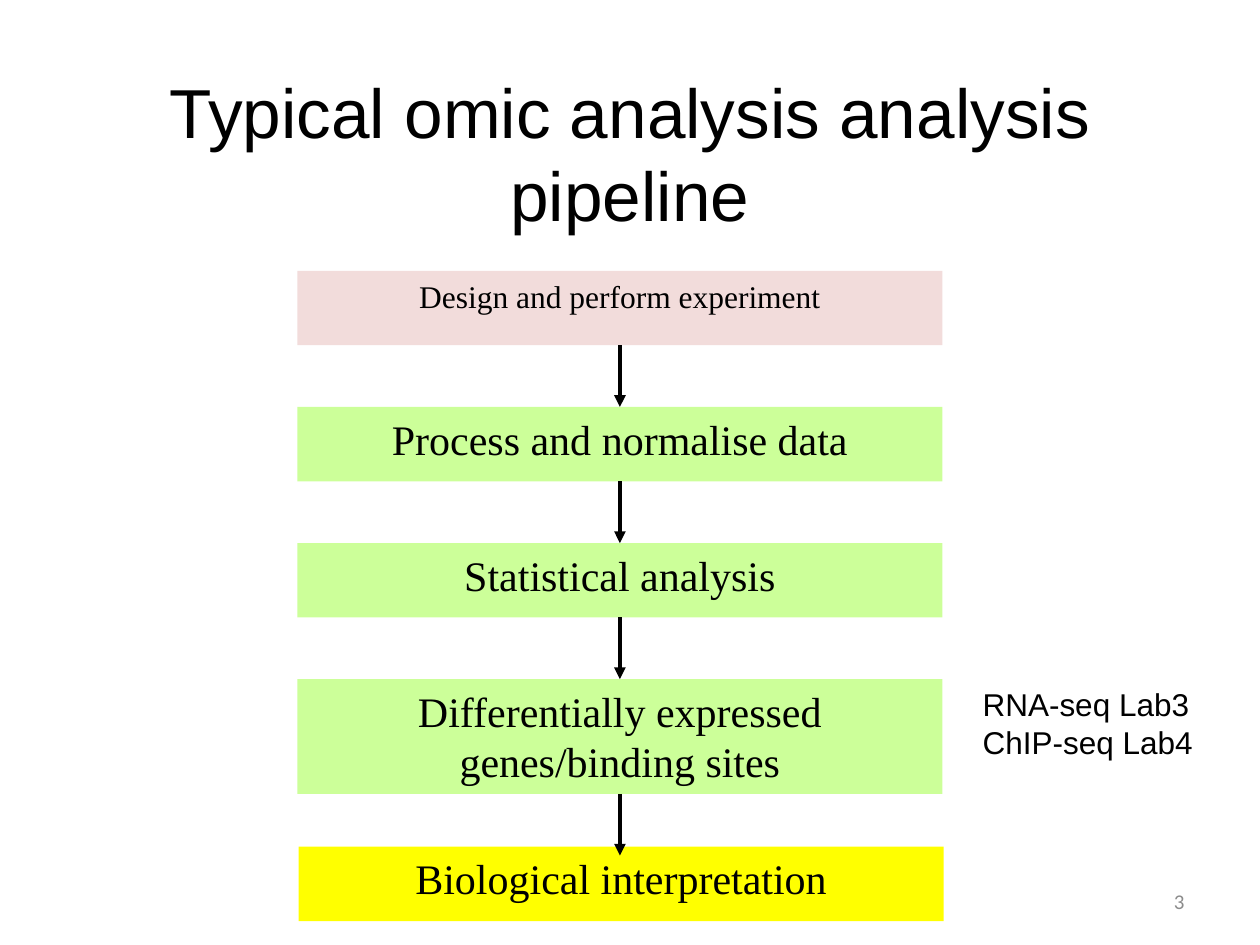
from lxml import etree
from pptx import Presentation
from pptx.dml.color import RGBColor
from pptx.enum.shapes import MSO_CONNECTOR, MSO_SHAPE
from pptx.enum.text import MSO_ANCHOR, PP_ALIGN
from pptx.oxml.ns import qn
from pptx.util import Inches, Pt

STRAIGHT = MSO_CONNECTOR.STRAIGHT
RECTANGLE = MSO_SHAPE.RECTANGLE
TOP, MIDDLE = MSO_ANCHOR.TOP, MSO_ANCHOR.MIDDLE
LEFT, CENTER, RIGHT = PP_ALIGN.LEFT, PP_ALIGN.CENTER, PP_ALIGN.RIGHT
BOTTOM_SITE, TOP_SITE = 2, 0
STEP_WIDTH = 5.12
LAST_OVERLAP = 0.07

STEPS = [
    ("Design and perform experiment", (2.36, 2.15, STEP_WIDTH, 0.59), "F2DCDB", 18),
    ("Process and normalise data", (2.36, 3.23, STEP_WIDTH, 0.59), "CCFF99", 24),
    ("Statistical analysis", (2.36, 4.31, STEP_WIDTH, 0.59), "CCFF99", 24),
    ("Differentially expressed genes/binding sites", (2.36, 5.39, STEP_WIDTH, 0.91), "CCFF99", 24),
    ("Biological interpretation", (2.37, 6.72, STEP_WIDTH, 0.59), "FFFF00", 24),
]


def color(value):
    """Return the colour for a hex string."""
    return RGBColor.from_string(value)


def write_text(shape, lines, size, font, ink="000000", align=LEFT, anchor=TOP, wrap=True):
    """Write one paragraph per line in a shape."""
    frame = shape.text_frame
    frame.word_wrap = wrap
    frame.vertical_anchor = anchor
    for index, line in enumerate(lines):
        para = frame.paragraphs[0] if index == 0 else frame.add_paragraph()
        para.alignment = align
        span = para.add_run()
        span.text = line
        for name, value in {"size": Pt(size), "name": font}.items():
            setattr(span.font, name, value)
        span.font.color.rgb = color(ink)


def add_label(page, box, lines, size, font, **format_values):
    """Add a text box at the given place."""
    label = page.shapes.add_textbox(*map(Inches, box))
    write_text(label, lines, size, font, **format_values)


def add_step(page, box, text, fill, size):
    """Add one filled step of the pipeline."""
    step = page.shapes.add_shape(RECTANGLE, *map(Inches, box))
    step.shadow.inherit = False
    step.fill.solid()
    step.fill.fore_color.rgb = color(fill)
    step.line.fill.background()
    write_text(step, [text], size, "Times New Roman", align=CENTER)
    return step


def add_arrow(page, upper, lower, overlap=0):
    """Add an arrow down from one step to the next, optionally reaching into it."""
    center = upper.left + upper.width // 2
    arrow = page.shapes.add_connector(
        STRAIGHT, center, upper.top + upper.height, center, lower.top + Inches(overlap))
    arrow.begin_connect(upper, BOTTOM_SITE)
    if not overlap:
        arrow.end_connect(lower, TOP_SITE)
    arrow.line.color.rgb = color("000000")
    arrow.line.width = Pt(2.25)
    etree.SubElement(arrow.line._get_or_add_ln(), qn("a:tailEnd"), type="triangle")
    etree.SubElement(arrow._element.spPr, qn("a:effectLst"))


def add_pipeline(page, steps):
    """Stack the steps and link each one to the next."""
    shapes = [add_step(page, box, text, fill, size) for text, box, fill, size in steps]
    for upper, lower in zip(shapes, shapes[1:]):
        add_arrow(page, upper, lower, LAST_OVERLAP if lower is shapes[-1] else 0)


def main():
    """Build and save the deck."""
    deck = Presentation()
    deck.slide_width, deck.slide_height = Inches(10), Inches(7.5)
    page = deck.slides.add_slide(deck.slide_layouts[6])
    add_label(page, (0.75, 0.5, 8.5, 1.41), ["Typical omic analysis analysis pipeline"],
              39.6, "Arial", align=CENTER, anchor=MIDDLE)
    add_pipeline(page, STEPS)
    add_label(page, (7.7, 5.39, 1.89, 0.71), ["RNA-seq Lab3", "ChIP-seq Lab4"],
              18, "Arial", wrap=False)
    add_label(page, (7.17, 6.95, 2.33, 0.4), ["3"], 12, "Calibri",
              ink="8C8C8C", align=RIGHT, anchor=MIDDLE)
    deck.save("out.pptx")


if __name__ == "__main__":
    main()
